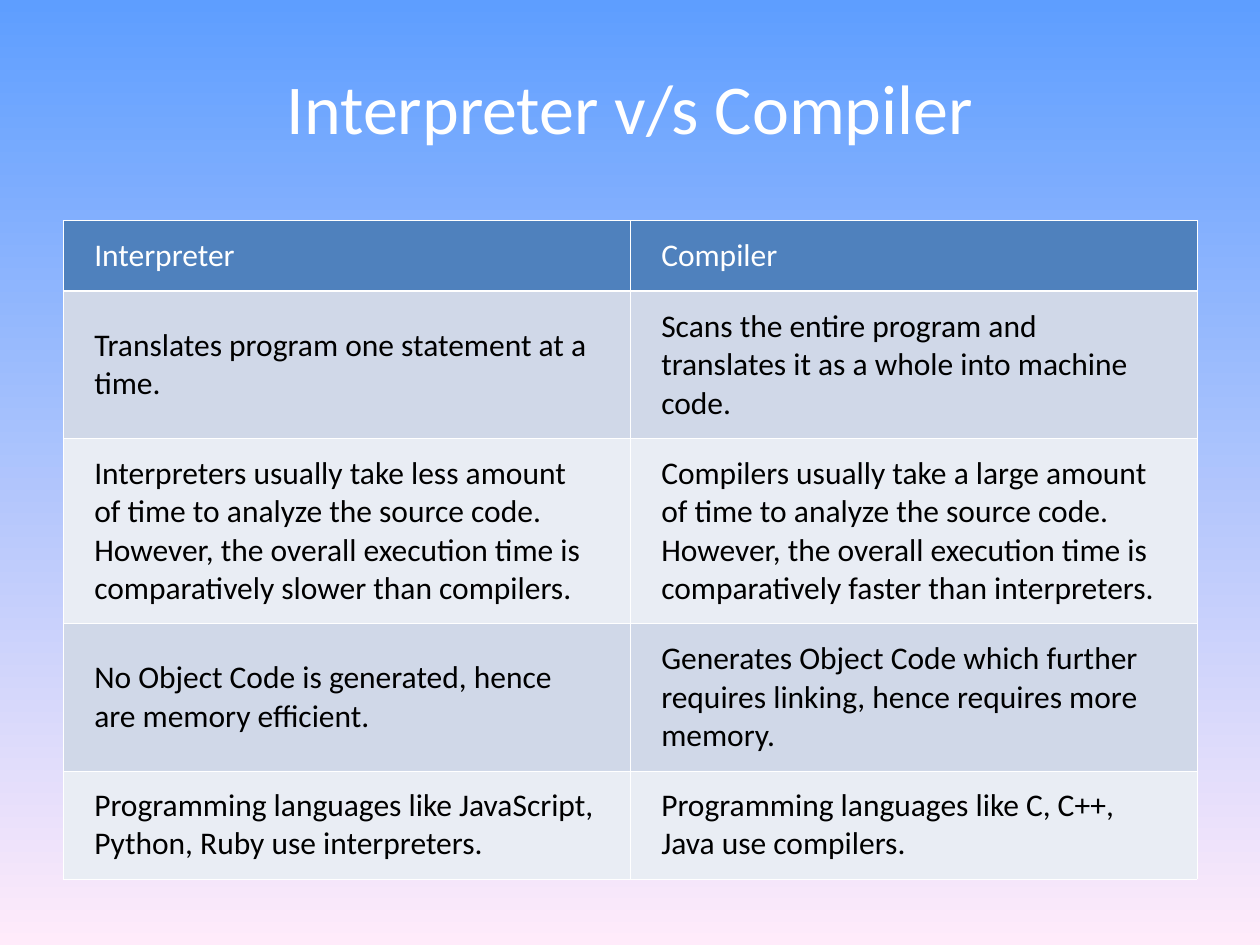
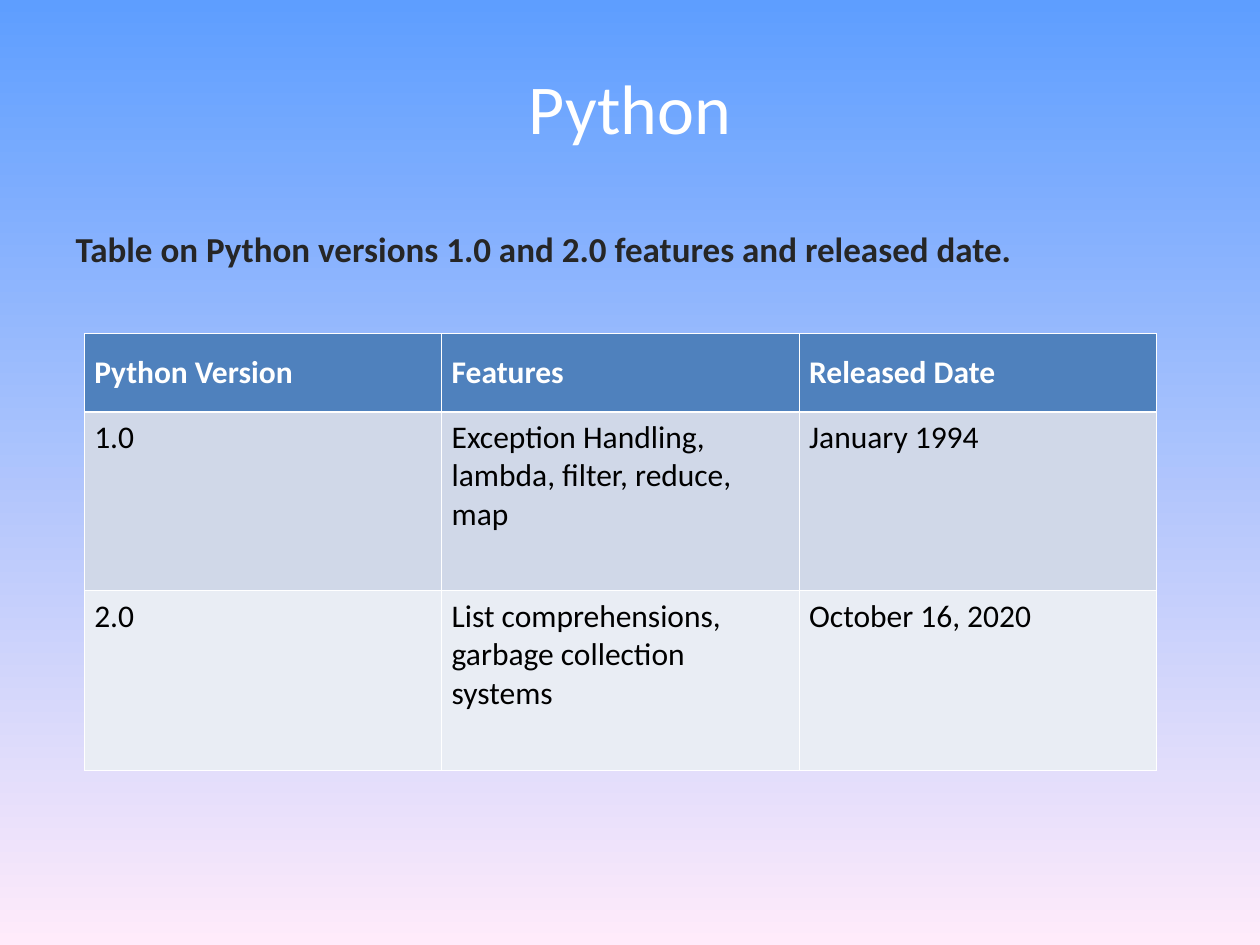
from lxml import etree
from pptx import Presentation
from pptx.dml.color import RGBColor
from pptx.enum.text import MSO_ANCHOR, PP_ALIGN
from pptx.oxml.ns import qn
from pptx.util import Cm, Pt

MIDDLE, TOP = MSO_ANCHOR.MIDDLE, MSO_ANCHOR.TOP
CENTER, LEFT = PP_ALIGN.CENTER, PP_ALIGN.LEFT

FONT = "Calibri"
WHITE, BLACK, CHARCOAL = "FFFFFF", "000000", "262626"
HEADER_FILL = "4F81BD"
BAND_FILLS = ("D0D8E8", "E9EDF4")
SKY = ((0, "5E9EFF"), (1, "FFEBFA"))
THIN, THICK = 0.45, 1.47

TITLE_BOX = (1.27, 0.76, 22.86, 2.77)
CAPTION_BOX = (1.27, 4.45, 22.86, 12.57)

COMPARISON_TITLE = "Interpreter v/s Compiler"
COMPARISON = {
    "rows": [
        ("Interpreter", "Compiler"),
        ("Translates program one statement at a time.",
         "Scans the entire program and translates it as a whole into machine code."),
        ("Interpreters usually take less amount of time to analyze the source code. "
         "However, the overall execution time is comparatively slower than compilers.",
         "Compilers usually take a large amount of time to analyze the source code. "
         "However, the overall execution time is comparatively faster than interpreters."),
        ("No Object Code is generated, hence are memory efficient.",
         "Generates Object Code which further requires linking, hence requires more memory."),
        ("Programming languages like JavaScript, Python, Ruby use interpreters.",
         "Programming languages like C, C++, Java use compilers."),
    ],
    "corner": (1.27, 4.45),
    "width": 22.86,
    "heights": (1.42, 2.97, 3.73, 2.97, 2.18),
    "side_margin": 0.63,
    "body_anchor": MIDDLE,
    "bold_header": False,
}

VERSIONS_TITLE = "Python"
VERSIONS_CAPTION = "Table on Python versions 1.0 and 2.0 features and released date."
VERSIONS = {
    "rows": [
        ("Python Version", "Features", "Released Date"),
        ("1.0", "Exception Handling, lambda, filter, reduce, map", "January 1994"),
        ("2.0", "List comprehensions, garbage collection systems", "October 16, 2020"),
    ],
    "corner": (1.7, 6.72),
    "width": 21.62,
    "heights": (1.58, 3.61, 3.61),
    "side_margin": 0.2,
    "body_anchor": TOP,
    "bold_header": True,
}


def rgb(value):
    return RGBColor.from_string(value)


def write(frame, wording, size, color, bold=False, align=LEFT):
    frame.text = wording
    paragraph = frame.paragraphs[0]
    paragraph.alignment = align
    font = paragraph.runs[0].font
    font.name, font.size, font.bold = FONT, Pt(size), bold
    font.color.rgb = rgb(color)
    return paragraph


def place(placeholder, box):
    placeholder.left, placeholder.top, placeholder.width, placeholder.height = map(Cm, box)


def paint_background(master):
    fill = master.background.fill
    fill.gradient()
    fill.gradient_angle = 270
    for stop, (position, color) in zip(fill.gradient_stops, SKY):
        stop.position = position
        stop.color.rgb = rgb(color)


def add_titled_slide(deck, layout_index, title):
    slide = deck.slides.add_slide(deck.slide_layouts[layout_index])
    place(slide.shapes.title, TITLE_BOX)
    frame = slide.shapes.title.text_frame
    write(frame, title, 40, WHITE, align=CENTER)
    frame.vertical_anchor = MIDDLE
    return slide


def add_caption(slide, caption):
    body = slide.placeholders[1]
    place(body, CAPTION_BOX)
    paragraph = write(body.text_frame, caption, 20, CHARCOAL, bold=True)
    paragraph.space_before = Pt(5)
    properties = paragraph._p.get_or_add_pPr()
    properties.set("marL", "0")
    properties.set("indent", "0")
    etree.SubElement(properties, qn("a:buNone"))


def set_borders(cell, top, bottom):
    properties = cell._tc.get_or_add_tcPr()
    sides = (("L", THIN), ("R", THIN), ("T", top), ("B", bottom))
    for index, (side, width) in enumerate(sides):
        line = etree.Element(qn(f"a:ln{side}"), w=str(Pt(width)))
        solid = etree.SubElement(line, qn("a:solidFill"))
        etree.SubElement(solid, qn("a:srgbClr"), val=WHITE)
        properties.insert(index, line)


def add_grid(slide, content):
    rows, heights = content["rows"], content["heights"]
    column_count = len(rows[0])
    corner = map(Cm, content["corner"])
    table = slide.shapes.add_table(
        len(rows), column_count, *corner, Cm(content["width"]), Cm(sum(heights))).table
    for column in table.columns:
        column.width = Cm(content["width"] / column_count)
    for r, (wordings, height) in enumerate(zip(rows, heights)):
        table.rows[r].height = Cm(height)
        header = r == 0
        for c, wording in enumerate(wordings):
            cell = table.cell(r, c)
            write(cell.text_frame, wording, 18, WHITE if header else BLACK,
                  bold=header and content["bold_header"])
            cell.vertical_anchor = MIDDLE if header else content["body_anchor"]
            cell.margin_left = cell.margin_right = Cm(content["side_margin"])
            cell.margin_top = cell.margin_bottom = Cm(0.13)
            cell.fill.solid()
            cell.fill.fore_color.rgb = rgb(HEADER_FILL if header else BAND_FILLS[(r - 1) % 2])
            set_borders(cell, THICK if r == 1 else THIN, THICK if header else THIN)


def main():
    deck = Presentation()
    deck.slide_width, deck.slide_height = Cm(25.4), Cm(19.05)
    paint_background(deck.slide_master)

    add_grid(add_titled_slide(deck, 5, COMPARISON_TITLE), COMPARISON)

    versions_slide = add_titled_slide(deck, 1, VERSIONS_TITLE)
    add_caption(versions_slide, VERSIONS_CAPTION)
    add_grid(versions_slide, VERSIONS)

    deck.save("out.pptx")


if __name__ == "__main__":
    main()
